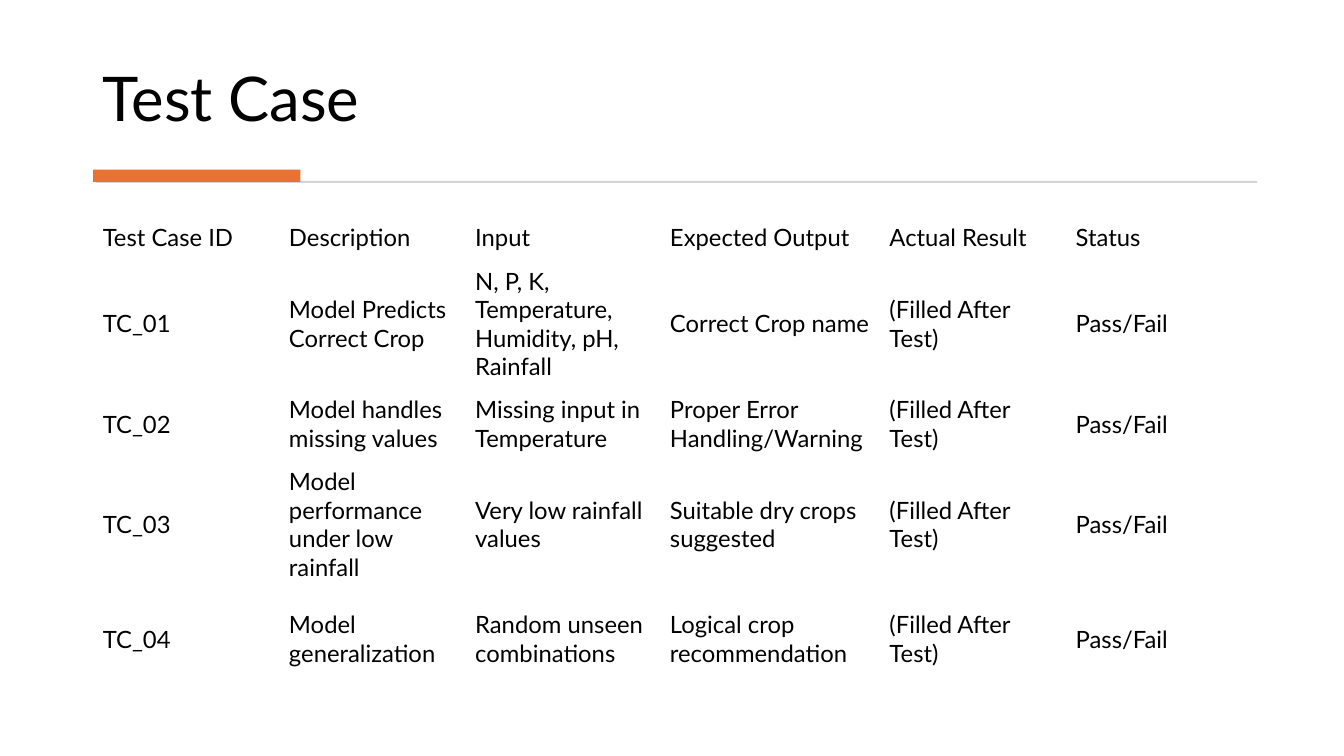
from pptx import Presentation
from pptx.dml.color import RGBColor
from pptx.enum.shapes import MSO_SHAPE
from pptx.enum.text import MSO_ANCHOR
from pptx.util import Pt

COLORS = {"text": "000000", "rule": "D5D5D5", "accent": "E97132"}
FONT = "Lato"


def style_text(frame, size):
    for paragraph in frame.paragraphs:
        for run in paragraph.runs:
            run.font.name = FONT
            run.font.size = Pt(size)
            run.font.bold = False
            run.font.color.rgb = RGBColor.from_string(COLORS["text"])


prs = Presentation()
prs.slide_width = Pt(960)
prs.slide_height = Pt(540)
slide = prs.slides.add_slide(prs.slide_layouts[6])

heading = slide.shapes.add_textbox(Pt(66.24), Pt(20.16), Pt(827.28), Pt(79.92)).text_frame
heading.word_wrap = True
heading.vertical_anchor = MSO_ANCHOR.BOTTOM
heading.text = "Test Case"
heading.paragraphs[0].line_spacing = 0.9
style_text(heading, 44)

bars = [
    ("rule", 68.4, 129.2, 829.6, 1.44),
    ("accent", 66.6, 121.2, 148, 8.64),
]
for color, left, top, width, height in bars:
    bar = slide.shapes.add_shape(MSO_SHAPE.RECTANGLE, Pt(left), Pt(top), Pt(width), Pt(height))
    bar.shadow.inherit = False
    bar.fill.solid()
    bar.fill.fore_color.rgb = RGBColor.from_string(COLORS[color])
    bar.line.fill.background()

header = ["Test Case ID", "Description", "Input", "Expected Output", "Actual Result", "Status"]
cases = [
    ("Model Predicts Correct Crop", "N, P, K, Temperature, Humidity, pH, Rainfall", "Correct Crop name"),
    ("Model handles missing values", "Missing input in Temperature", "Proper Error Handling/Warning"),
    ("Model performance under low rainfall", "Very low rainfall values", "Suitable dry crops suggested"),
    ("Model generalization", "Random unseen combinations", "Logical crop recommendation"),
]
rows = [header]
for number, case in enumerate(cases, start=1):
    rows.append([f"TC_{number:02}", *case, "(Filled After Test)", "Pass/Fail"])

column_widths = [133, 133, 139.2, 156.8, 133, 133]
row_heights = [31, 92, 51.2, 92, 72]
test_cases = slide.shapes.add_table(
    len(rows), len(header), Pt(66.24), Pt(154.2), Pt(sum(column_widths)), Pt(sum(row_heights))
).table
test_cases.first_row = False
test_cases.horz_banding = False
for column, width in zip(test_cases.columns, column_widths):
    column.width = Pt(width)
for row, height, texts in zip(test_cases.rows, row_heights, rows):
    row.height = Pt(height)
    for cell, text in zip(row.cells, texts):
        cell.fill.background()
        cell.vertical_anchor = MSO_ANCHOR.MIDDLE
        cell.text_frame.text = text
        style_text(cell.text_frame, 17)

prs.save("out.pptx")
